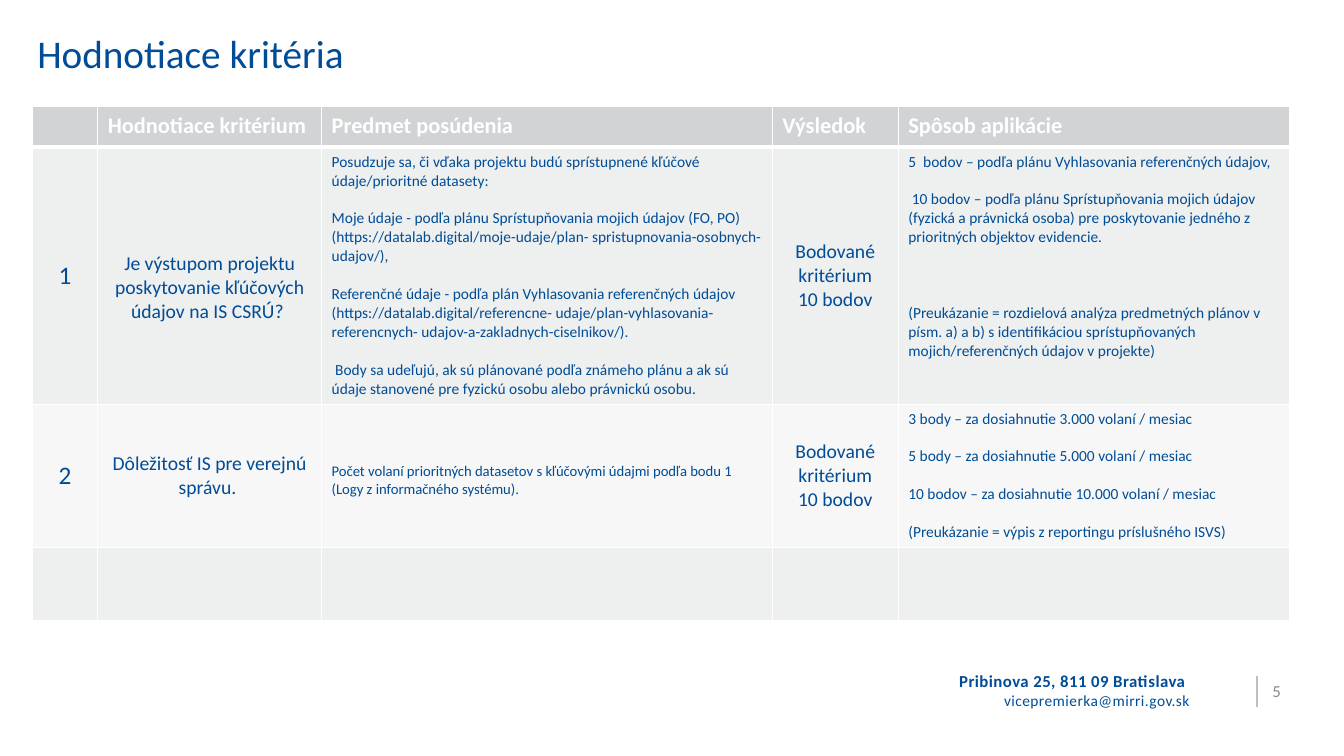
"""Build the slide with the evaluation criteria table."""
from dataclasses import dataclass

from lxml.etree import SubElement
from pptx import Presentation
from pptx.dml.color import RGBColor
from pptx.enum.shapes import MSO_CONNECTOR
from pptx.enum.text import MSO_ANCHOR, PP_ALIGN
from pptx.oxml.ns import qn
from pptx.slide import Slide
from pptx.table import Table, _Cell
from pptx.text.text import TextFrame
from pptx.util import Inches, Pt

BLUE = RGBColor(0x00, 0x4C, 0x96)
WHITE = RGBColor(0xFF, 0xFF, 0xFF)
GRAY = RGBColor(0x86, 0x8C, 0x93)
RULE_GRAY = RGBColor(0xBF, 0xBF, 0xBF)
HEADER_FILL = RGBColor(0xD1, 0xD3, 0xD4)
ODD_FILL = RGBColor(0xEE, 0xEF, 0xEF)
EVEN_FILL = RGBColor(0xF7, 0xF7, 0xF7)

LINE_GAP = 13.4
COLUMN_WIDTHS = (0.65, 2.22, 4.47, 1.25, 3.88)
ROW_HEIGHTS = (0.4, 2.55, 1.42, 0.73)
ROW_FILLS = (HEADER_FILL, ODD_FILL, EVEN_FILL, ODD_FILL)


@dataclass(frozen=True)
class Line:
    """One paragraph with its own look."""
    text: str
    size: float
    color: RGBColor = BLUE
    bold: bool = False
    align: PP_ALIGN = PP_ALIGN.LEFT
    space_before: float = 0
    tracking: int = 0


@dataclass(frozen=True)
class Content:
    """Paragraphs of a table cell and their placement."""
    lines: tuple[Line, ...] = ()
    anchor: MSO_ANCHOR = MSO_ANCHOR.TOP
    margin_top: float = 0.05


@dataclass(frozen=True)
class Label:
    """A text box outside the table."""
    left: float
    top: float
    width: float
    height: float
    lines: tuple[Line, ...]
    anchor: MSO_ANCHOR = MSO_ANCHOR.MIDDLE
    margin: float = 0.1


def heading(text: str) -> Content:
    """Describe a header cell."""
    return Content((Line(text, 16, WHITE, True),))


def centered(*texts: str, size: float = 14, margin_top: float = 0.05) -> Content:
    """Describe a cell with centred lines."""
    lines = tuple(Line(text, size, align=PP_ALIGN.CENTER) for text in texts)
    return Content(lines, MSO_ANCHOR.MIDDLE, margin_top)


def details(*texts: str, last_gap: float = LINE_GAP) -> Content:
    """Describe a cell with paragraphs set apart by a line."""
    gaps = [0] + [LINE_GAP] * (len(texts) - 2) + [last_gap]
    return Content(tuple(Line(text, 11, space_before=gap) for text, gap in zip(texts, gaps)))


SCORE = centered("Bodované kritérium", "10 bodov")
ROWS = (
    (Content(), heading("Hodnotiace kritérium"), heading("Predmet posúdenia"),
     heading("Výsledok"), heading("Spôsob aplikácie")),
    (centered("1", size=18),
     centered("Je výstupom projektu poskytovanie kľúčových údajov na IS CSRÚ? ", margin_top=0.29),
     details(
         "Posudzuje sa, či vďaka projektu budú sprístupnené kľúčové údaje/prioritné datasety:",
         "Moje údaje - podľa plánu Sprístupňovania mojich údajov (FO, PO) "
         "(https://datalab.digital/moje-udaje/plan- spristupnovania-osobnych-udajov/),",
         "Referenčné údaje - podľa plán Vyhlasovania referenčných údajov "
         "(https://datalab.digital/referencne- udaje/plan-vyhlasovania-referencnych- "
         "udajov-a-zakladnych-ciselnikov/).",
         " Body sa udeľujú, ak sú plánované podľa známeho plánu a ak sú údaje stanovené "
         "pre fyzickú osobu alebo právnickú osobu."),
     SCORE,
     details(
         "5  bodov – podľa plánu Vyhlasovania referenčných údajov,",
         " 10 bodov – podľa plánu Sprístupňovania mojich údajov (fyzická a právnická osoba) "
         "pre poskytovanie jedného z prioritných objektov evidencie.",
         "(Preukázanie = rozdielová analýza predmetných plánov v písm. a) a b) s identifikáciou "
         "sprístupňovaných mojich/referenčných údajov v projekte)",
         last_gap=3 * LINE_GAP)),
    (centered("2", size=18),
     centered("Dôležitosť IS pre verejnú správu. "),
     Content((Line("Počet volaní prioritných datasetov s kľúčovými údajmi podľa bodu 1 "
                   "(Logy z informačného systému).", 10.5),), margin_top=0.58),
     SCORE,
     details(
         "3 body – za dosiahnutie 3.000 volaní / mesiac",
         "5 body – za dosiahnutie 5.000 volaní / mesiac",
         "10 bodov – za dosiahnutie 10.000 volaní / mesiac",
         "(Preukázanie = výpis z reportingu príslušného ISVS)")),
    (Content(),) * 5,
)

LABELS = (
    Label(0.37, 0.29, 10, 0.82, (Line("Hodnotiace kritéria", 28),), MSO_ANCHOR.TOP, 0),
    Label(9.23, 6.65, 2.67, 0.4, (
        Line("Pribinova 25, 811 09 Bratislava ", 12, bold=True, align=PP_ALIGN.RIGHT, tracking=30),
        Line("vicepremierka@mirri.gov.sk", 11, align=PP_ALIGN.RIGHT, tracking=30))),
    Label(12.52, 6.71, 0.42, 0.29, (Line("5", 12, GRAY, tracking=30),)),
)


def write_lines(frame: TextFrame, lines: tuple[Line, ...]) -> None:
    """Fill a text frame with paragraphs."""
    for index, line in enumerate(lines):
        para = frame.add_paragraph() if index else frame.paragraphs[0]
        para.alignment = line.align
        if line.space_before:
            para.space_before = Pt(line.space_before)
        span = para.add_run()
        span.text = line.text
        formats = {"name": "Calibri", "size": Pt(line.size), "bold": line.bold}
        for name, value in formats.items():
            setattr(span.font, name, value)
        span.font.color.rgb = line.color
        if line.tracking:
            span.font._element.set("spc", str(line.tracking))


def add_label(page: Slide, label: Label) -> None:
    """Place a text box."""
    place = (label.left, label.top, label.width, label.height)
    frame = page.shapes.add_textbox(*map(Inches, place)).text_frame
    formats = {"word_wrap": True, "vertical_anchor": label.anchor,
               "margin_left": Inches(label.margin), "margin_right": Inches(label.margin),
               "margin_top": Inches(label.margin / 2), "margin_bottom": Inches(label.margin / 2)}
    for name, value in formats.items():
        setattr(frame, name, value)
    write_lines(frame, label.lines)


def add_borders(cell: _Cell, top: float, bottom: float) -> None:
    """Draw white borders around a cell."""
    properties = cell._tc.get_or_add_tcPr()
    for side, width in {"lnL": 1, "lnR": 1, "lnT": top, "lnB": bottom}.items():
        border = SubElement(properties, qn(f"a:{side}"), w=str(Pt(width)))
        fill = SubElement(border, qn("a:solidFill"))
        SubElement(fill, qn("a:srgbClr"), val=str(WHITE))


def fill_table(table: Table) -> None:
    """Size the table and fill its cells."""
    table.first_row = table.horz_banding = False
    for column, width in zip(table.columns, COLUMN_WIDTHS):
        column.width = Inches(width)
    for row_index, (contents, height, color) in enumerate(zip(ROWS, ROW_HEIGHTS, ROW_FILLS)):
        table.rows[row_index].height = Inches(height)
        for column_index, content in enumerate(contents):
            cell = table.cell(row_index, column_index)
            add_borders(cell, 3 if row_index == 1 else 1, 3 if row_index == 0 else 1)
            cell.fill.solid()
            cell.fill.fore_color.rgb = color
            cell.vertical_anchor = content.anchor
            cell.margin_top = Inches(content.margin_top)
            write_lines(cell.text_frame, content.lines)


def add_rule(page: Slide) -> None:
    """Draw the line beside the page number."""
    rule = page.shapes.add_connector(
        MSO_CONNECTOR.STRAIGHT, Inches(12.47), Inches(6.71), Inches(12.47), Inches(7.01))
    rule.line.color.rgb = RULE_GRAY
    rule.line.width = Pt(1.5)
    SubElement(rule._element.spPr, qn("a:effectLst"))


def main() -> None:
    """Build and save the deck."""
    deck = Presentation()
    deck.slide_width, deck.slide_height = Inches(13.33), Inches(7.5)
    page = deck.slides.add_slide(deck.slide_layouts[6])
    for label in LABELS:
        add_label(page, label)
    add_rule(page)
    criteria = page.shapes.add_table(
        len(ROWS), len(COLUMN_WIDTHS), Inches(0.32), Inches(1.06),
        Inches(sum(COLUMN_WIDTHS)), Inches(sum(ROW_HEIGHTS)))
    fill_table(criteria.table)
    deck.save("out.pptx")


if __name__ == "__main__":
    main()
